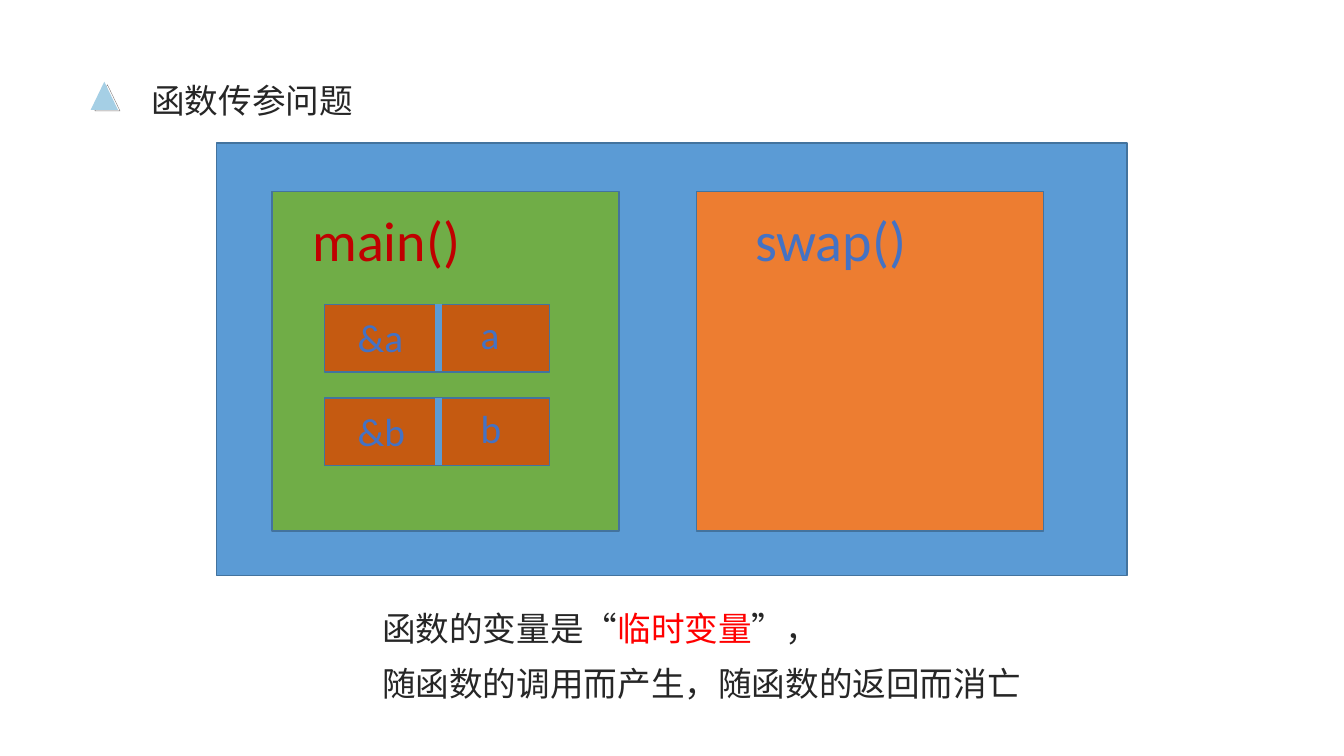
import lxml.etree
import pptx
import pptx.dml.color
import pptx.enum.shapes
import pptx.oxml.ns
import pptx.util

Inches = pptx.util.Inches
SHAPES = pptx.enum.shapes.MSO_SHAPE
CHINESE_FONT = "Noto Sans CJK SC"
BLUE, DARK, RED = "4472C4", "262626", "FF0000"


def color(value):
    return pptx.dml.color.RGBColor.from_string(value)


class SlideBuilder:
    """Draws styled elements on the current slide."""

    border = "43739E"
    latin_font = "Calibri"

    def __init__(self, slide):
        self.slide = slide

    def shape(self, kind, left, top, width, height, fill=None, line=None, weight=1):
        shape = self.slide.shapes.add_shape(
            kind, Inches(left), Inches(top), Inches(width), Inches(height))
        shape.shadow.inherit = False
        if fill:
            shape.fill.solid()
            shape.fill.fore_color.rgb = color(fill)
        else:
            shape.fill.background()
        if line:
            shape.line.color.rgb = color(line)
            shape.line.width = pptx.util.Pt(weight)
        else:
            shape.line.fill.background()

    def box(self, left, top, width, height, fill):
        self.shape(SHAPES.RECTANGLE, left, top, width, height, fill, self.border)

    def divider(self, left, top, height):
        line = self.slide.shapes.add_connector(
            pptx.enum.shapes.MSO_CONNECTOR.STRAIGHT,
            Inches(left), Inches(top), Inches(left), Inches(top + height))
        line.line.color.rgb = color("5B9BD5")
        line.line.width = pptx.util.Pt(4.5)
        lxml.etree.SubElement(line._element.spPr, pptx.oxml.ns.qn("a:effectLst"))

    def text_frame(self, left, top, width, height):
        frame = self.slide.shapes.add_textbox(
            Inches(left), Inches(top), Inches(width), Inches(height)).text_frame
        frame.word_wrap = True
        return frame

    def label(self, text, left, top, width, height, size, fill=BLUE):
        paragraph = self.text_frame(left, top, width, height).paragraphs[0]
        paragraph.text = text
        paragraph.font.name = self.latin_font
        paragraph.font.size = pptx.util.Pt(size)
        paragraph.font.color.rgb = color(fill)

    def chinese_text(self, lines, left, top, width, height):
        frame = self.text_frame(left, top, width, height)
        frame.margin_left = frame.margin_right = 0
        frame.margin_top = frame.margin_bottom = 0
        for index, pieces in enumerate(lines):
            paragraph = frame.add_paragraph() if index else frame.paragraphs[0]
            paragraph.line_spacing = 1.2
            paragraph.space_before = pptx.util.Pt(4.8)
            for text, fill in pieces:
                run = paragraph.add_run()
                run.text = text
                run.font.size = pptx.util.Pt(24)
                run.font.color.rgb = color(fill)
                run.font.name = CHINESE_FONT
                east_asian = lxml.etree.SubElement(
                    run._r.get_or_add_rPr(), pptx.oxml.ns.qn("a:ea"))
                east_asian.set("typeface", CHINESE_FONT)


def main():
    presentation = pptx.Presentation()
    presentation.slide_width = Inches(13.33)
    presentation.slide_height = Inches(7.5)
    slide = presentation.slides.add_slide(presentation.slide_layouts[6])
    builder = SlideBuilder(slide)

    builder.chinese_text([[("函数传参问题", DARK)]], 1.5, 0.71, 2.65, 0.44)
    builder.shape(SHAPES.ISOSCELES_TRIANGLE, 0.94, 0.84, 0.25, 0.26,
                  line="767171", weight=0.25)
    builder.shape(SHAPES.ISOSCELES_TRIANGLE, 0.9, 0.81, 0.27, 0.28, fill="A5CFE5")
    builder.chinese_text(
        [[("函数的变量是“", DARK), ("临时变量", RED), ("”，", DARK)],
         [("随函数的调用而产生，随函数的返回而消亡", DARK)]],
        3.79, 5.95, 7.41, 1.01)

    builder.box(2.15, 1.42, 9.03, 4.29, "5B9BD5")
    functions = [("main()", 2.7, "70AD47", 3, 1.91, "C00000"),
                 ("swap()", 6.91, "ED7D31", 7.39, 2.24, BLUE)]
    for name, left, fill, label_left, label_width, label_color in functions:
        builder.box(left, 1.9, 3.44, 3.37, fill)
        builder.label(name, label_left, 1.99, label_width, 0.77, 40, label_color)

    for row, variable in enumerate("ab"):
        top = 3.02 + 0.93 * row
        builder.box(3.22, top, 2.23, 0.67, "C55A11")
        builder.divider(4.35, top, 0.66)
        builder.label("&" + variable, 3.45, top + 0.04, 0.67, 0.57, 28)
        builder.label(variable, 4.67, top + 0.01, 0.67, 0.57, 28)

    presentation.save("out.pptx")


if __name__ == "__main__":
    main()
